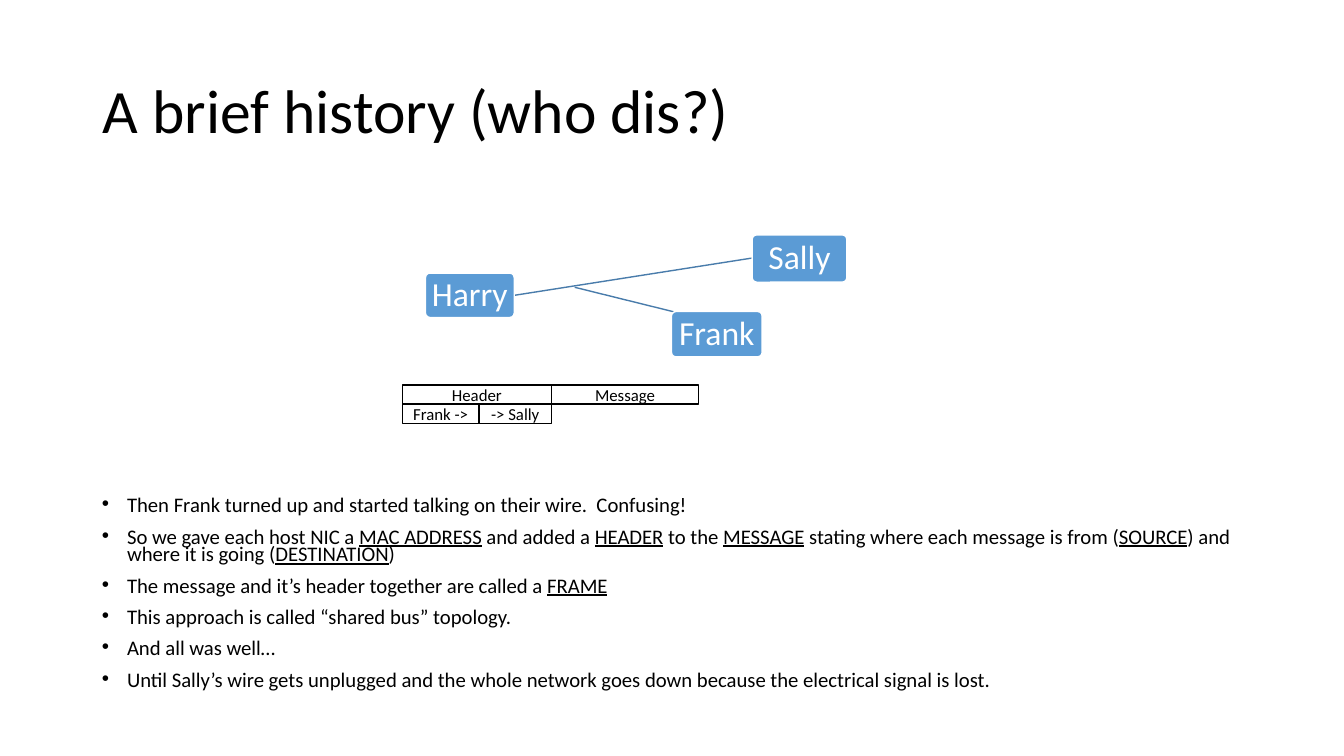
from dataclasses import dataclass

from lxml import etree
from pptx import Presentation
from pptx import util as u
from pptx.dml.color import RGBColor
from pptx.enum import shapes, text
from pptx.oxml.ns import qn

PX = 9144  # 100 px to the inch


@dataclass(frozen=True)
class Theme:
    font: str = "Calibri"
    ink: str = "000000"
    paper: str = "FFFFFF"
    host: str = "5B9BD5"
    wire: str = "497CAB"
    title: float = 44
    body: float = 14.8
    name: float = 24
    field: float = 12


class Deck:
    def __init__(self, theme, wide, high):
        self.theme = theme
        self.prs = Presentation()
        self.prs.slide_width, self.prs.slide_height = wide * PX, high * PX
        self.slide = self.prs.slides.add_slide(self.prs.slide_layouts[1])

    def place(self, shape, box):
        shape.left, shape.top, shape.width, shape.height = (n * PX for n in box)

    def style(self, para, size, color, align, lead):
        para.alignment, para.line_spacing = align, lead
        for run in para.runs:
            run.font.name, run.font.size = self.theme.font, u.Pt(size)
            run.font.color.rgb = RGBColor.from_string(color)

    def title(self, words, box):
        shape = self.slide.shapes.title
        self.place(shape, box)
        frame = shape.text_frame
        frame.text = words
        frame.auto_size = text.MSO_AUTO_SIZE.NONE
        frame.vertical_anchor = text.MSO_ANCHOR.MIDDLE
        self.style(frame.paragraphs[0], self.theme.title, self.theme.ink,
                   text.PP_ALIGN.LEFT, 0.9)

    def bullets(self, lines, box):
        """Fill the body; words between underscores are underlined."""
        shape = self.slide.placeholders[1]
        self.place(shape, box)
        frame = shape.text_frame
        frame.auto_size = text.MSO_AUTO_SIZE.NONE
        frame.vertical_anchor = text.MSO_ANCHOR.TOP
        for i, line in enumerate(lines):
            para = frame.add_paragraph() if i else frame.paragraphs[0]
            props = para._p.get_or_add_pPr()
            props.set("marL", str(25 * PX))
            props.set("indent", str(-25 * PX))
            etree.SubElement(props, qn("a:buFont")).set("typeface", "Arial")
            etree.SubElement(props, qn("a:buChar")).set("char", "•")
            para.space_before = u.Pt(10 if i else 0)
            for j, part in enumerate(line.split("_")):
                if part:
                    run = para.add_run()
                    run.text = part
                    run.font.underline = j % 2 == 1
            self.style(para, self.theme.body, self.theme.ink,
                       text.PP_ALIGN.LEFT, 0.7)

    def block(self, kind, words, box, fill, line, size, color, lead):
        shape = self.slide.shapes.add_shape(kind, *(n * PX for n in box))
        shape.shadow.inherit = False
        shape.fill.solid()
        shape.fill.fore_color.rgb = RGBColor.from_string(fill)
        shape.line.color.rgb = RGBColor.from_string(line)
        shape.line.width = u.Pt(1)
        frame = shape.text_frame
        frame.margin_left = frame.margin_right = 3 * PX
        frame.margin_top = frame.margin_bottom = 0
        frame.vertical_anchor = text.MSO_ANCHOR.MIDDLE
        frame.word_wrap = True
        frame.text = words
        self.style(frame.paragraphs[0], size, color,
                   text.PP_ALIGN.CENTER, lead)
        return shape

    def host(self, words, box):
        t = self.theme
        shape = self.block(shapes.MSO_SHAPE.ROUNDED_RECTANGLE, words, box,
                           t.host, t.paper, t.name, t.paper, 0.9)
        shape.adjustments[0] = 0.1

    def field(self, words, box):
        t = self.theme
        self.block(shapes.MSO_SHAPE.RECTANGLE, words, box,
                   t.paper, t.ink, t.field, t.ink, 1.0)

    def wire(self, *ends):
        line = self.slide.shapes.add_connector(
            shapes.MSO_CONNECTOR.STRAIGHT, *(n * PX for n in ends))
        line.line.color.rgb = RGBColor.from_string(self.theme.wire)
        line.line.width = u.Pt(1)
        etree.SubElement(line._element.spPr, qn("a:effectLst"))


LINES = [
    "Then Frank turned up and started talking on their wire.  Confusing!",
    "So we gave each host NIC a _MAC ADDRESS_ and added a _HEADER_ to the "
    "_MESSAGE_ stating where each message is from (_SOURCE_) and where it is "
    "going (_DESTINATION_)",
    "The message and it’s header together are called a _FRAME_",
    "This approach is called “shared bus” topology.",
    "And all was well…",
    "Until Sally’s wire gets unplugged and the whole network goes down "
    "because the electrical signal is lost.",
]
HOSTS = [
    ("Harry", (422, 271, 88, 44)),
    ("Sally", (746, 233, 94, 47)),
    ("Frank", (666, 309, 90, 45)),
]
WIRES = [(510, 293, 746, 256), (570, 285, 671, 310)]
FIELDS = [
    [("Header", 148), ("Message", 146)],
    [("Frank ->", 76), ("-> Sally", 72)],
]
LEFT, TOP, ROW = 399, 382, 19


def main():
    deck = Deck(Theme(), 1333, 750)
    deck.title("A brief history (who dis?)", (92, 40, 1150, 145))
    deck.bullets(LINES, (91, 490, 1150, 219))
    for ends in WIRES:
        deck.wire(*ends)
    for name, box in HOSTS:
        deck.host(name, box)
    for i, row in enumerate(FIELDS):
        x = LEFT
        for words, wide in row:
            deck.field(words, (x, TOP + i * ROW, wide, ROW))
            x += wide
    deck.prs.save("out.pptx")


if __name__ == "__main__":
    main()
